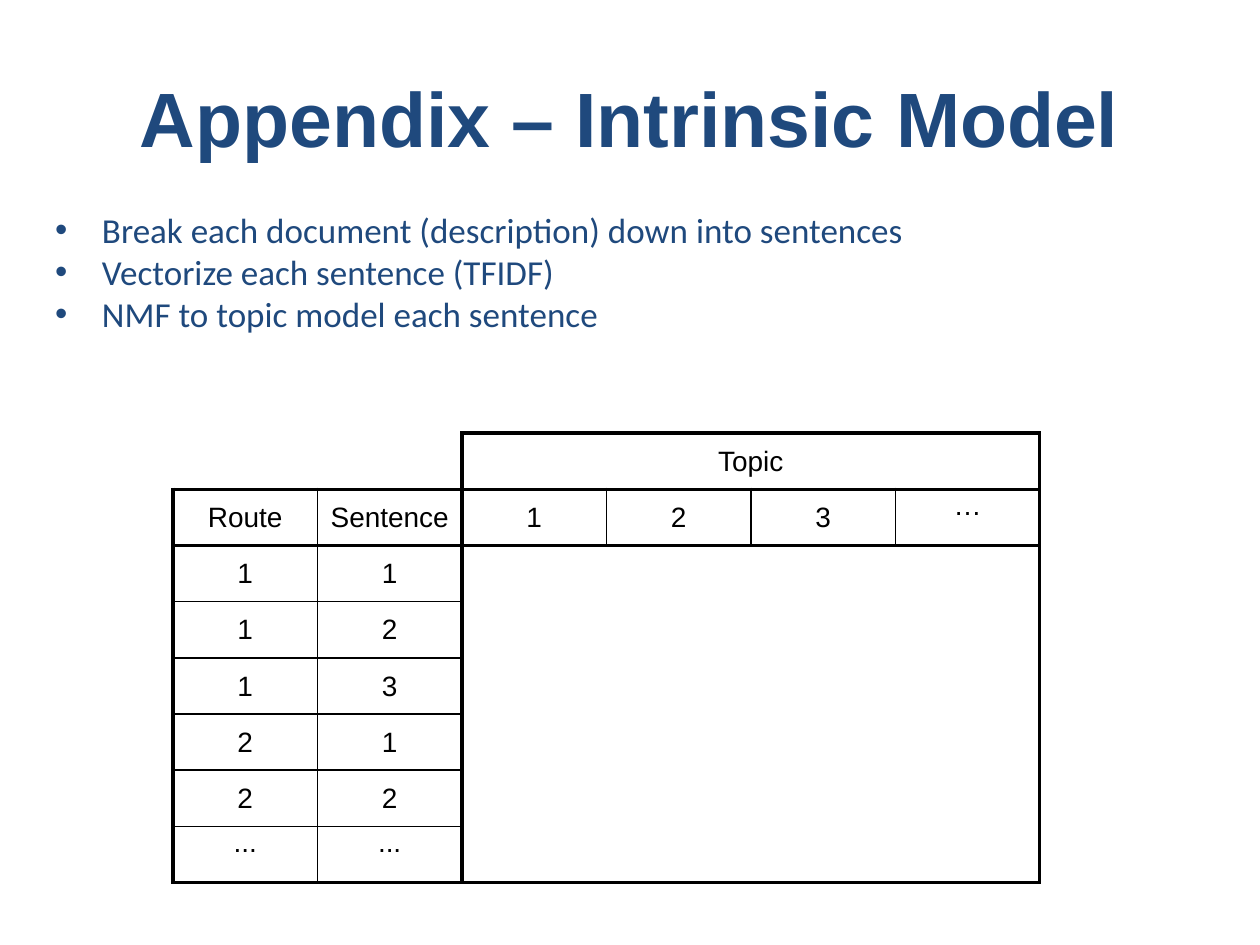
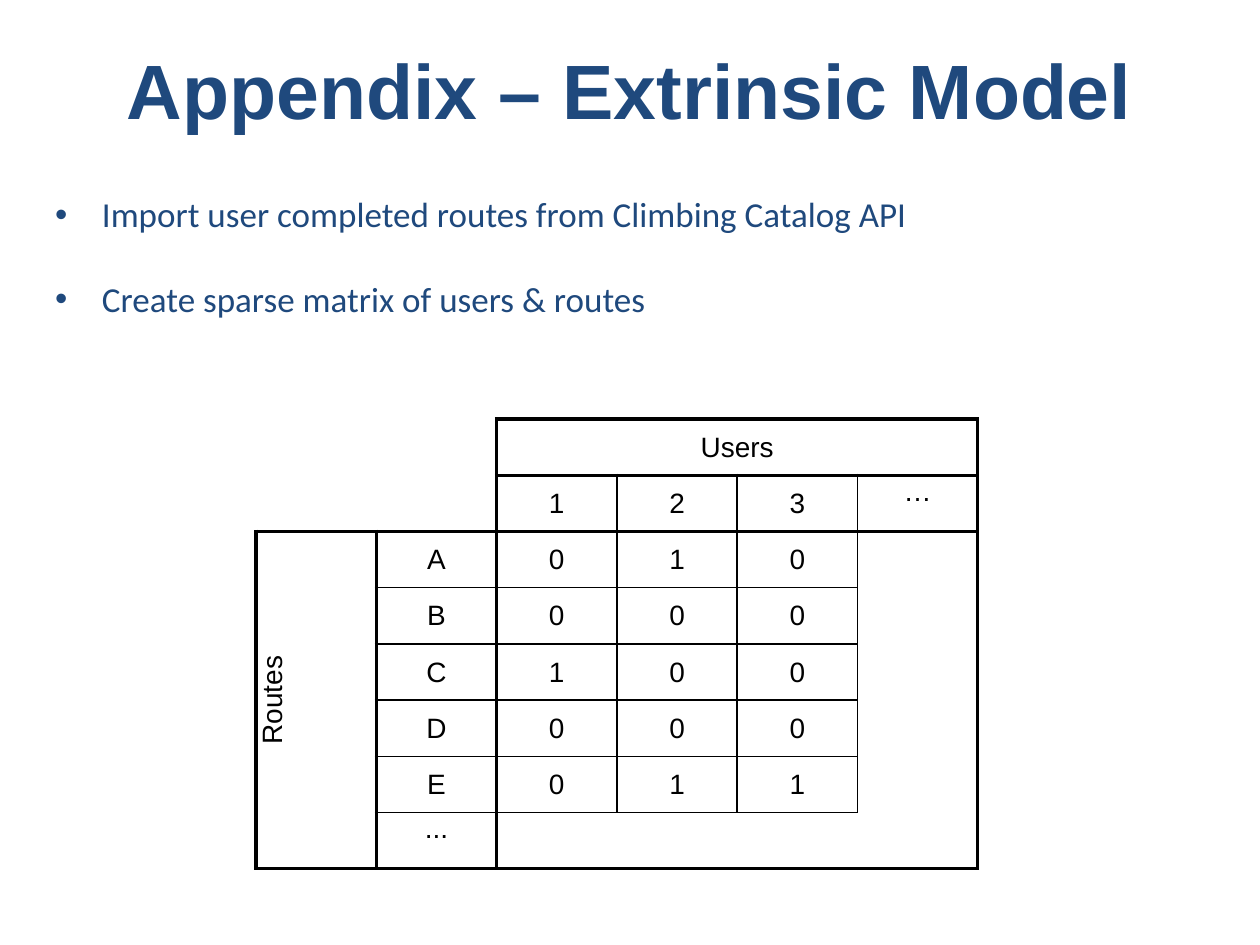
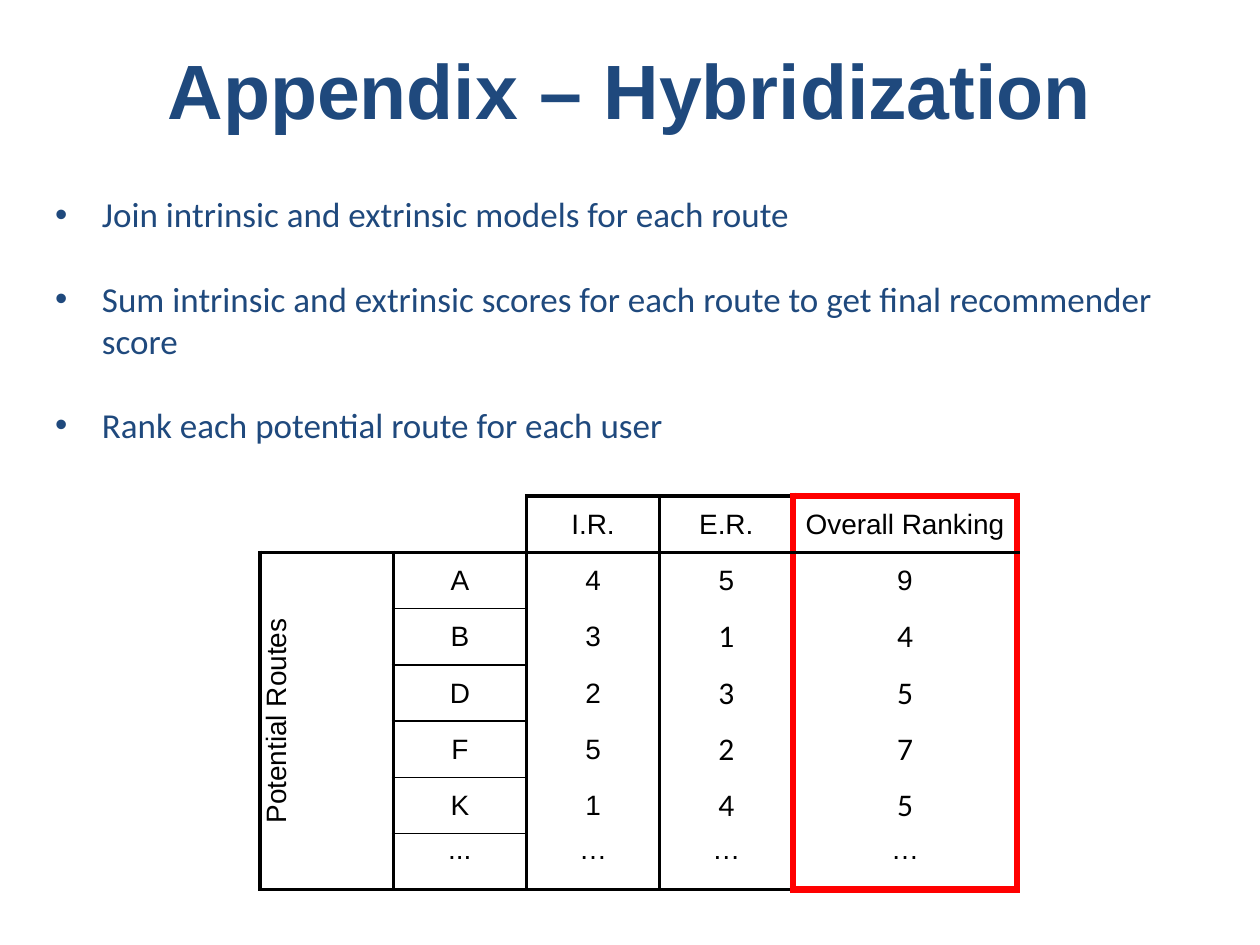
from itertools import product

from lxml import etree
from pptx import Presentation
from pptx import util as u
from pptx.dml import color
from pptx.enum import text
from pptx.oxml import ns

PX_PER_INCH = 126
NAVY, BLACK, RED = "1F497D", "000000", "FF0000"
THIN, THICK, HIGHLIGHT = (BLACK, 1), (BLACK, 2.25), (RED, 4.5)
OPPOSITE = {"L": (0, -1, "R"), "R": (0, 1, "L"), "T": (-1, 0, "B"), "B": (1, 0, "T")}
ELLIPSES = ("…", "...")


def px(length):
    return u.Emu(round(length * 914400 / PX_PER_INCH))


def rgb(value):
    return color.RGBColor.from_string(value)


def add_run(paragraph, words, font, size, ink, bold=False):
    run = paragraph.add_run()
    run.text = words
    run.font.name, run.font.size, run.font.bold = font, u.Pt(size), bold
    run.font.color.rgb = rgb(ink)


def place(shape, box):
    shape.left, shape.top, shape.width, shape.height = map(px, box)


def add_titled_slide(deck, heading, top):
    slide = deck.slides.add_slide(deck.slide_layouts[5])
    title = slide.shapes.title
    place(title, (63, top, 1134, 158))
    title.text_frame.vertical_anchor = text.MSO_ANCHOR.MIDDLE
    line = title.text_frame.paragraphs[0]
    line.alignment = text.PP_ALIGN.CENTER
    add_run(line, heading, "Arial", 44, NAVY, True)
    return slide


def add_bullets(slide, box, points, gap=0):
    frame = slide.shapes.add_textbox(*map(px, box)).text_frame
    frame.word_wrap = True
    frame.margin_left = frame.margin_right = px(13)
    frame.margin_top = frame.margin_bottom = px(13)
    for index, point in enumerate(points):
        line = frame.paragraphs[0] if index == 0 else frame.add_paragraph()
        line.space_after = u.Pt(gap)
        props = line._p.get_or_add_pPr()
        props.set("marL", str(px(47)))
        props.set("indent", str(-px(47)))
        etree.SubElement(props, ns.qn("a:buFont"), typeface="Arial")
        etree.SubElement(props, ns.qn("a:buChar"), char="•")
        add_run(line, point, "Calibri", 20, NAVY)


def each_cell(top, left, bottom, right):
    return product(range(top, bottom + 1), range(left, right + 1))


def grid(line, *area):
    return [(line, (r, c, r, c)) for r, c in each_cell(*area)]


def outlines(line, *areas):
    return [(line, area) for area in areas]


def find_edges(rules, merges):
    edges = {}
    for line, area in rules:
        top, left, bottom, right = area
        for r, c in each_cell(*area):
            outer = {"L": c == left, "R": c == right, "T": r == top, "B": r == bottom}
            for side in (s for s in outer if outer[s]):
                down, across, facing = OPPOSITE[side]
                edges[r, c, side] = line
                edges[r + down, c + across, facing] = line
    for top, left, bottom, right in merges:
        edges[top, left, "R"] = edges[top, right, "R"]
        edges[top, left, "B"] = edges[bottom, left, "B"]
    return edges


def draw_borders(cell, lines):
    props = cell._tc.get_or_add_tcPr()
    for index, (side, line) in enumerate(lines):
        border = etree.Element(ns.qn(f"a:ln{side}"))
        if line:
            ink, weight = line
            border.set("w", str(u.Pt(weight)))
            fill = etree.SubElement(border, ns.qn("a:solidFill"))
            etree.SubElement(fill, ns.qn("a:srgbClr"), val=ink)
        else:
            etree.SubElement(border, ns.qn("a:noFill"))
        props.insert(index, border)


def add_matrix(slide, box, rows, rules, merges=(), upright=None, large=()):
    left, top, width, height = box
    table = slide.shapes.add_table(len(rows), len(rows[0]), *map(px, box)).table
    table.first_row = table.horz_banding = False
    for column in table.columns:
        column.width = px(width / len(rows[0]))
    for row in table.rows:
        row.height = px(height / len(rows))
    edges = find_edges(rules, merges)
    for r, values in enumerate(rows):
        for c, value in enumerate(values):
            cell = table.cell(r, c)
            cell.fill.background()
            draw_borders(cell, [(side, edges.get((r, c, side))) for side in "LRTB"])
            cell.margin_left = cell.margin_right = cell.margin_top = px(1)
            cell.margin_bottom = 0
            if not value:
                continue
            if value not in ELLIPSES:
                cell.vertical_anchor = text.MSO_ANCHOR.MIDDLE
            line = cell.text_frame.paragraphs[0]
            line.alignment = text.PP_ALIGN.CENTER
            font, size = ("Calibri", 18) if (r, c) in large else ("Arial", 16)
            add_run(line, value, font, size, BLACK)
    for first_row, first_col, last_row, last_col in merges:
        table.cell(first_row, first_col).merge(table.cell(last_row, last_col))
    if upright:
        table.cell(*upright)._tc.get_or_add_tcPr().set("vert", "vert270")


def add_intrinsic(deck):
    slide = add_titled_slide(deck, "Appendix – Intrinsic Model", 38)
    sentences = [("1", "1"), ("1", "2"), ("1", "3"), ("2", "1"), ("2", "2"), ("...", "...")]
    rows = [
        ["", "", "Topic", "", "", ""],
        ["Route", "Sentence", "1", "2", "3", "…"],
        *[[*pair, "", "", "", ""] for pair in sentences],
    ]
    rules = grid(THIN, 1, 0, 7, 1) + grid(THIN, 1, 2, 1, 5) + outlines(
        THICK, (0, 2, 0, 5), (1, 0, 1, 1), (1, 2, 1, 5), (2, 0, 7, 1), (2, 2, 7, 5))
    add_matrix(slide, (173, 433, 867, 450), rows, rules, [(0, 2, 0, 5)])
    add_bullets(slide, (42, 195, 1155, 475), [
        "Break each document (description) down into sentences",
        "Vectorize each sentence (TFIDF)",
        "NMF to topic model each sentence",
    ])


def add_extrinsic(deck):
    slide = add_titled_slide(deck, "Appendix – Extrinsic Model", 10)
    add_bullets(slide, (42, 180, 1176, 415), [
        "Import user completed routes from Climbing Catalog API",
        "Create sparse matrix of users & routes",
    ], 24)
    completed = {"A": "010", "B": "000", "C": "100", "D": "000", "E": "011"}
    rows = [
        ["", "", "Users", "", "", ""],
        ["", "", "1", "2", "3", "…"],
        *[["", route, *flags, ""] for route, flags in completed.items()],
        ["", "...", "", "", "", ""],
    ]
    rows[2][0] = "Routes"
    rules = grid(THIN, 1, 2, 6, 4) + grid(THIN, 2, 1, 7, 1) + outlines(
        THICK, (0, 2, 0, 5), (1, 2, 1, 5), (2, 0, 7, 0), (2, 1, 7, 1), (2, 2, 7, 5))
    add_matrix(slide, (256, 419, 722, 450), rows, rules,
               [(0, 2, 0, 5), (2, 0, 7, 0)], upright=(2, 0))


def add_hybrid(deck):
    slide = add_titled_slide(deck, "Appendix – Hybridization", 10)
    add_bullets(slide, (42, 180, 1176, 415), [
        "Join intrinsic and extrinsic models for each route",
        "Sum intrinsic and extrinsic scores for each route to get final recommender score",
        "Rank each potential route for each user",
    ], 24)
    rows = [
        ["", "", "I.R.", "E.R."],
        ["Potential Routes", "A", "4", "5"],
        *[["", *scores] for scores in ("B31", "D23", "F52", "K14")],
        ["", "...", "…", "…"],
    ]
    rules = grid(THIN, 1, 1, 6, 1) + grid(THICK, 0, 2, 0, 3) + outlines(
        THICK, *[(1, c, 6, c) for c in range(4)])
    add_matrix(slide, (260, 496, 533, 394), rows, rules, [(1, 0, 6, 0)],
               upright=(1, 0), large=list(each_cell(2, 3, 5, 3)))
    overall = [[value] for value in ("Overall Ranking", *"94575", "…")]
    rules = outlines(THICK, (0, 0, 0, 0)) + outlines(HIGHLIGHT, (0, 0, 6, 0))
    add_matrix(slide, (793, 496, 224, 394), overall, rules,
               large=list(each_cell(2, 0, 5, 0)))


def main():
    deck = Presentation()
    deck.slide_width, deck.slide_height = px(1260), px(945)
    add_intrinsic(deck)
    add_extrinsic(deck)
    add_hybrid(deck)
    deck.save("out.pptx")


if __name__ == "__main__":
    main()
